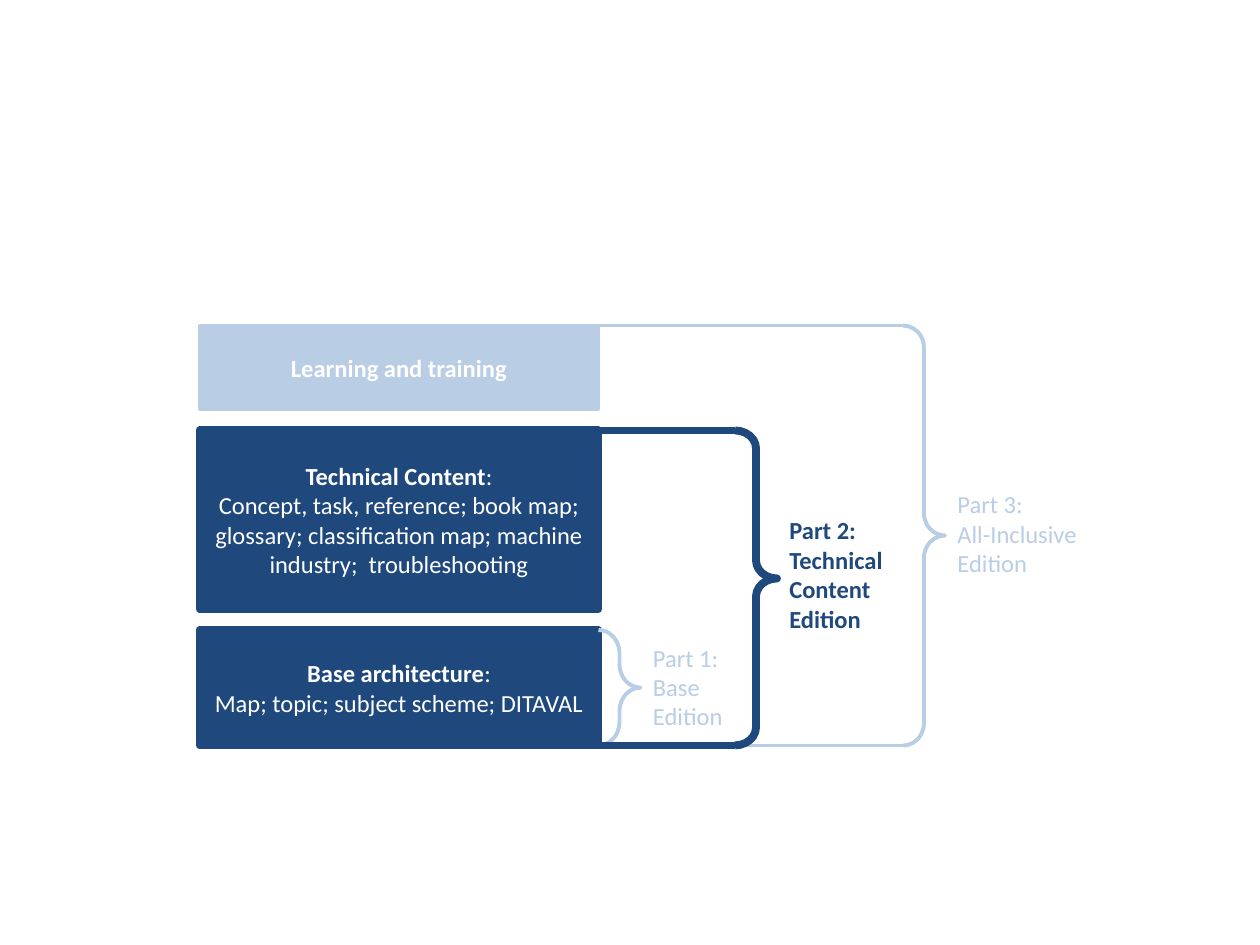
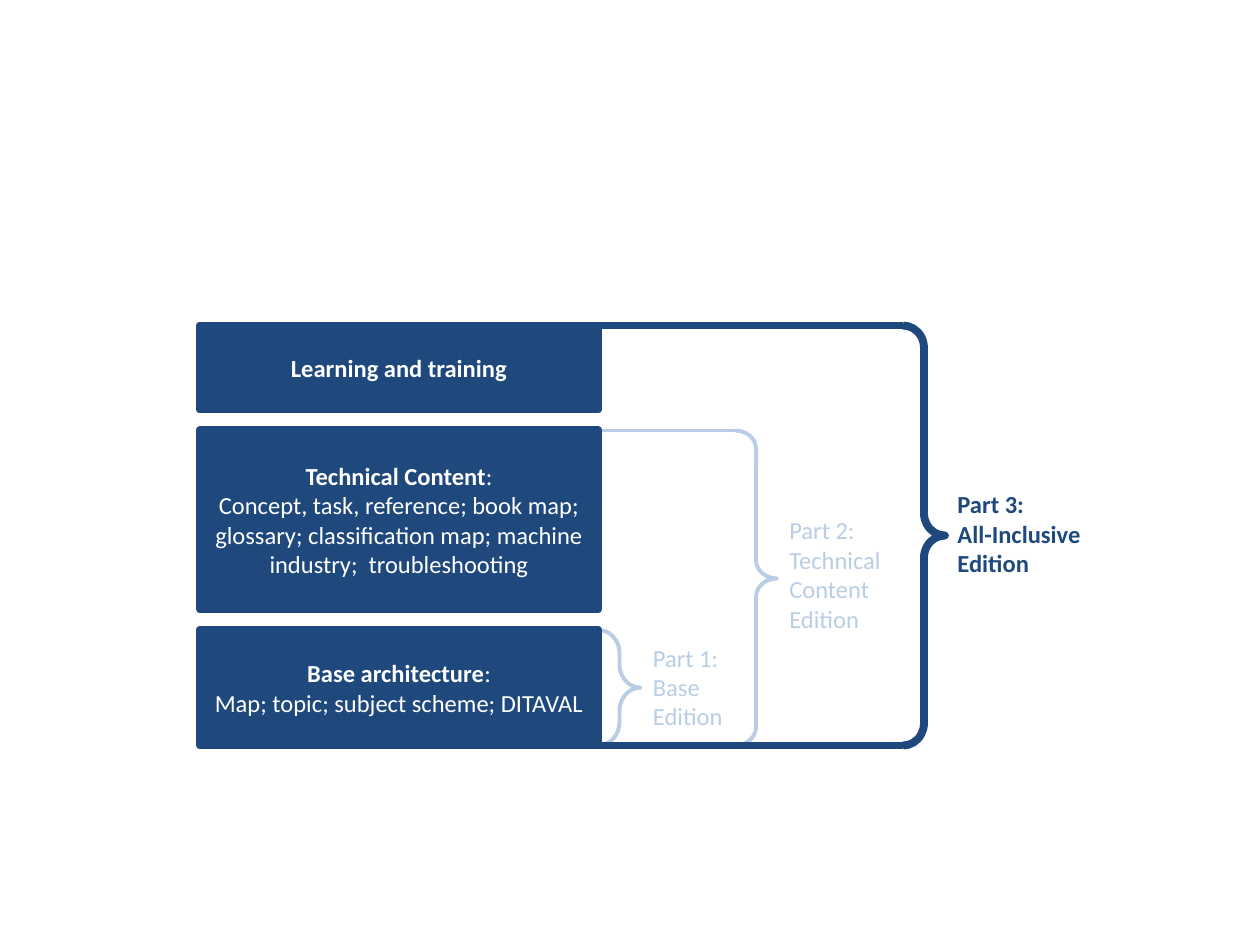
from dataclasses import dataclass
from typing import Optional

from lxml.etree import SubElement
from pptx import Presentation
from pptx.dml.color import RGBColor
from pptx.enum.shapes import MSO_CONNECTOR as Connector, MSO_SHAPE as Preset
from pptx.enum.text import MSO_ANCHOR as Anchor, MSO_AUTO_SIZE as AutoSize, PP_ALIGN as Align
from pptx.oxml.ns import qn
from pptx.util import Emu, Inches, Pt

UNITS_PER_INCH = 12  # the slide is a grid of 120 columns by 90 rows


@dataclass(frozen=True)
class Emphasis:
    color: RGBColor
    block_line: float
    bracket_line: float
    bold: bool


@dataclass(frozen=True)
class Theme:
    font: str = "Calibri"
    size: float = 14
    block_text: RGBColor = RGBColor(0xFF, 0xFF, 0xFF)
    active: Emphasis = Emphasis(RGBColor(0x1F, 0x49, 0x7D), 4.5, 4.5, True)
    muted: Emphasis = Emphasis(RGBColor(0xB9, 0xCD, 0xE5), 2, 2.25, False)

    def emphasis(self, is_active: bool) -> Emphasis:
        return self.active if is_active else self.muted


@dataclass(frozen=True)
class Block:
    """A box of the stack, with the number of the first edition that contains it."""
    first_edition: int
    row: float
    rows: float
    heading: str
    detail: str = ""


@dataclass(frozen=True)
class Edition:
    """An edition's label and the bracket that reaches down to the stack's foot."""
    number: int
    name: str
    brace_column: float
    top_row: float
    curve: float
    tip: float
    arm_column: Optional[float]
    label_row: float
    label_rows: float
    label_columns: float
    active_label_columns: float


@dataclass(frozen=True)
class View:
    """A slide: the edition it stresses, and the brackets behind and before the blocks."""
    active_edition: int
    behind: tuple[int, ...]
    before: tuple[int, ...]


THEME = Theme()
BLOCK_COLUMN, BLOCK_COLUMNS = 19, 38
FOOT_ROW = 71
BRACE_COLUMNS = 4

BLOCKS = (
    Block(1, 60, 11, "Base architecture", "Map; topic; subject scheme; DITAVAL"),
    Block(3, 31, 8, "Learning and training"),
    Block(2, 41, 17, "Technical Content",
          "Concept, task, reference; book map; glossary; classification map; "
          "machine industry;  troubleshooting"),
)
EDITIONS = {edition.number: edition for edition in (
    Edition(3, "All-Inclusive Edition", 86, 31, 0.53, 0.5, 49, 46, 9.7, 14, 15),
    Edition(2, "Technical Content Edition", 70, 41, 0.43, 0.47, 52, 48.5, 12.5, 12, 12),
    Edition(1, "Base Edition", 57, 60, 0.56, 0.5, None, 60.6, 9.7, 10, 10),
)}
VIEWS = (
    View(active_edition=2, behind=(3,), before=(1, 2)),
    View(active_edition=3, behind=(1, 2, 3), before=()),
)


def grid(*units: float) -> list[Emu]:
    return [Inches(unit / UNITS_PER_INCH) for unit in units]


def write_text(frame, paragraphs: list[list[tuple[str, bool]]], *, color: RGBColor,
               align: Align = Align.LEFT, anchor: Anchor = Anchor.TOP) -> None:
    """Fill a frame with paragraphs, each a list of (text, bold) runs."""
    frame.word_wrap = True
    frame.vertical_anchor = anchor
    for index, runs in enumerate(paragraphs):
        paragraph = frame.add_paragraph() if index else frame.paragraphs[0]
        paragraph.alignment = align
        for text, bold in runs:
            run = paragraph.add_run()
            run.text = text
            run.font.name = THEME.font
            run.font.size = Pt(THEME.size)
            run.font.bold = bold
            run.font.color.rgb = color


def set_line(shape, color: RGBColor, width: float) -> None:
    shape.line.color.rgb = color
    shape.line.width = Pt(width)


def draw_block(slide, block: Block, active_edition: int) -> None:
    emphasis = THEME.emphasis(block.first_edition <= active_edition)
    shape = slide.shapes.add_shape(
        Preset.RECTANGLE, *grid(BLOCK_COLUMN, block.row, BLOCK_COLUMNS, block.rows))
    shape.shadow.inherit = False
    shape.fill.solid()
    shape.fill.fore_color.rgb = emphasis.color
    set_line(shape, emphasis.color, emphasis.block_line)
    paragraphs = [[(block.heading, True)]]
    if block.detail:
        paragraphs[0].append((":", False))
        paragraphs.append([(block.detail, False)])
    write_text(shape.text_frame, paragraphs, color=THEME.block_text,
               align=Align.CENTER, anchor=Anchor.MIDDLE)


def draw_bracket(slide, edition: Edition, active_edition: int) -> None:
    emphasis = THEME.emphasis(edition.number == active_edition)
    has_arms = edition.arm_column is not None
    shapes = slide.shapes.add_group_shape().shapes if has_arms else slide.shapes
    brace = shapes.add_shape(Preset.RIGHT_BRACE, *grid(
        edition.brace_column, edition.top_row, BRACE_COLUMNS, FOOT_ROW - edition.top_row))
    brace.adjustments[0], brace.adjustments[1] = edition.curve, edition.tip
    brace.shadow.inherit = False
    brace.fill.background()
    set_line(brace, emphasis.color, emphasis.bracket_line)
    if has_arms:
        for row in (FOOT_ROW, edition.top_row):
            arm = shapes.add_connector(
                Connector.STRAIGHT, *grid(edition.arm_column, row, edition.brace_column, row))
            set_line(arm, emphasis.color, emphasis.bracket_line)
            SubElement(arm._element.spPr, qn("a:effectLst"))


def draw_label(slide, edition: Edition, active_edition: int) -> None:
    is_active = edition.number == active_edition
    emphasis = THEME.emphasis(is_active)
    columns = edition.active_label_columns if is_active else edition.label_columns
    label = slide.shapes.add_textbox(*grid(
        edition.brace_column + BRACE_COLUMNS, edition.label_row, columns, edition.label_rows))
    write_text(label.text_frame,
               [[(f"Part {edition.number}:", emphasis.bold)], [(edition.name, emphasis.bold)]],
               color=emphasis.color)
    label.text_frame.auto_size = AutoSize.SHAPE_TO_FIT_TEXT


def draw_view(slide, view: View) -> None:
    for number in view.behind:
        draw_bracket(slide, EDITIONS[number], view.active_edition)
    for edition in EDITIONS.values():
        draw_label(slide, edition, view.active_edition)
    for block in BLOCKS:
        draw_block(slide, block, view.active_edition)
    for number in view.before:
        draw_bracket(slide, EDITIONS[number], view.active_edition)


def main() -> None:
    presentation = Presentation()
    presentation.slide_width, presentation.slide_height = grid(120, 90)
    blank_layout = presentation.slide_layouts.get_by_name("Blank")
    for view in VIEWS:
        draw_view(presentation.slides.add_slide(blank_layout), view)
    presentation.save("out.pptx")


if __name__ == "__main__":
    main()
